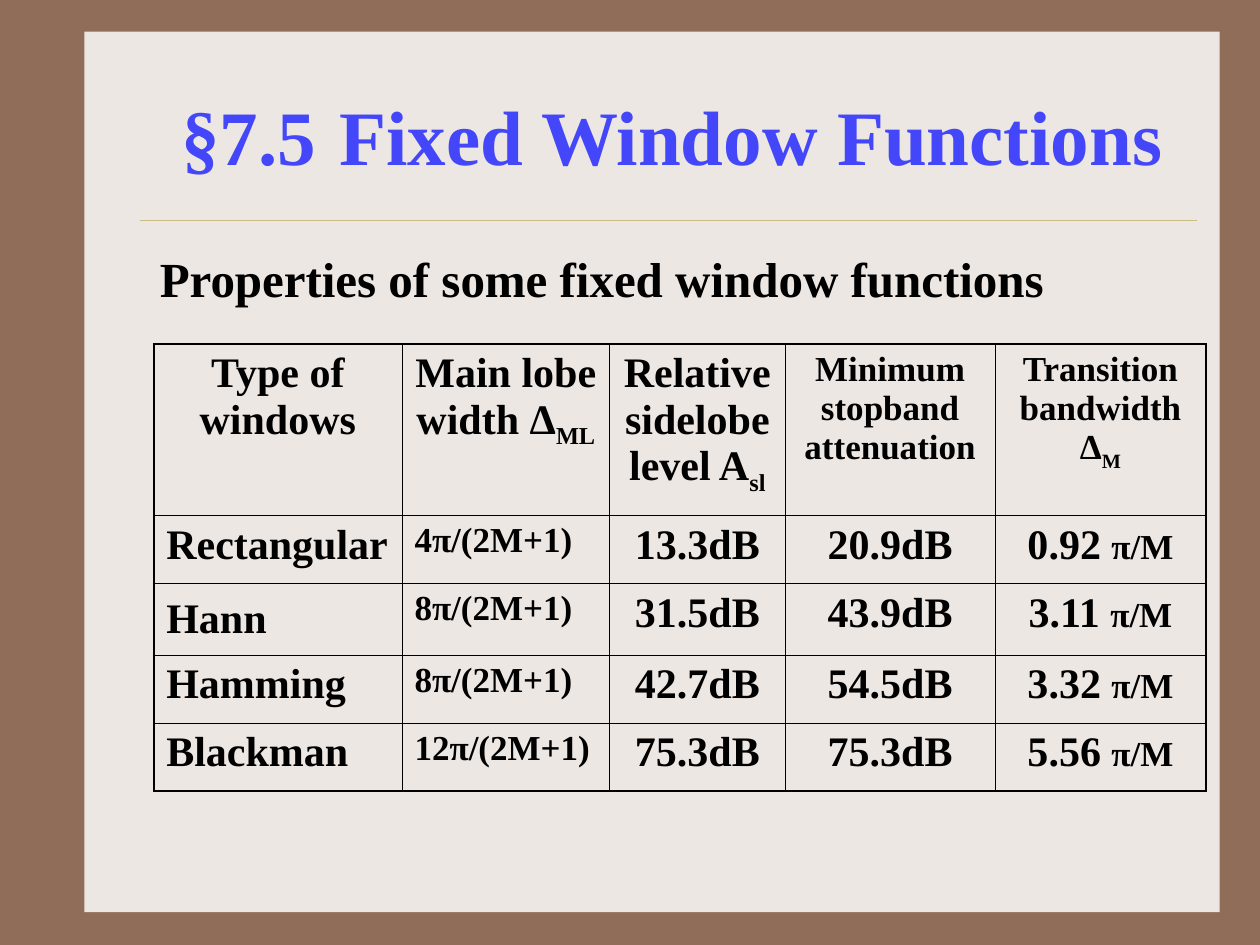
from lxml.etree import SubElement
from pptx import Presentation
from pptx.dml.color import RGBColor
from pptx.enum.shapes import MSO_CONNECTOR as Connector, MSO_SHAPE as Shape
from pptx.enum.text import MSO_ANCHOR as Anchor, MSO_AUTO_SIZE as AutoSize, PP_ALIGN as Align
from pptx.oxml import parse_xml
from pptx.oxml.ns import nsdecls, qn
from pptx.util import Inches, Pt

SERIF = "Times New Roman"
INK = "000000"
THIN, THICK = 0.45, 1.08
COL_WIDTHS = (1.97, 1.65, 1.39, 1.67, 1.67)
ROW_HEIGHTS = (1.36, 0.54, 0.57, 0.54, 0.54)
HEADERS = (
    [("Type of windows", 24)],
    [("Main lobe width Δ", 24), ("ML", 24, "sub")],
    [("Relative sidelobe level A", 24), ("sl", 24, "sub")],
    [("Minimum stopband attenuation", 20)],
    [("Transition bandwidth Δ", 20), ("M", 20, "sub")],
)
WINDOWS = (
    ("Rectangular", "4", "13.3dB", "20.9dB", "0.92"),
    ("Hann", "8", "31.5dB", "43.9dB", "3.11"),
    ("Hamming", "8", "42.7dB", "54.5dB", "3.32"),
    ("Blackman", "12", "75.3dB", "75.3dB", "5.56"),
)


def color(hex_code):
    return RGBColor.from_string(hex_code)


def add_run(p, text, size, kind="", hex_code=INK, font=SERIF, bold=True):
    r = p.add_run()
    r.text = text
    r.font.size = Pt(size)
    r.font.name = font
    r.font.bold = bold
    r.font.color.rgb = color(hex_code)
    if kind == "sub":
        r.font._element.set("baseline", "-25000")


def add_panel(s, x, y, w, h):
    sp = s.shapes.add_shape(Shape.RECTANGLE, Inches(x), Inches(y), Inches(w), Inches(h))
    sp.shadow.inherit = False
    sp.fill.solid()
    sp.fill.fore_color.rgb = color("EDE7E3")
    sp.line.fill.background()


def add_rule(s, x, y, w):
    line = s.shapes.add_connector(
        Connector.STRAIGHT, Inches(x), Inches(y), Inches(x + w), Inches(y))
    line.line.color.rgb = color("CBBD83")
    line.line.width = Pt(0.25)
    SubElement(line.element.spPr, qn("a:effectLst"))


def place_title(s, x, y, w, h):
    title = s.shapes.title
    title.element.getparent().append(title.element)
    title.left, title.top = Inches(x), Inches(y)
    title.width, title.height = Inches(w), Inches(h)
    tf = title.text_frame
    tf.auto_size = AutoSize.NONE
    tf.word_wrap = True
    tf.vertical_anchor = Anchor.MIDDLE
    p = tf.paragraphs[0]
    p.alignment = Align.CENTER
    blue = "4347F9"
    add_run(p, "§7.5", 44, hex_code=blue)
    add_run(p, " ", 48, hex_code=blue, font="Arial", bold=False)
    add_run(p, "Fixed Window Functions", 44, hex_code=blue)


def add_subtitle(s, x, y, w, h):
    tf = s.shapes.add_textbox(Inches(x), Inches(y), Inches(w), Inches(h)).text_frame
    tf.word_wrap = True
    add_run(tf.paragraphs[0], "Properties of some fixed window functions", 28)


def set_borders(cell, widths):
    tc_pr = cell._tc.get_or_add_tcPr()
    for i, (side, width) in enumerate(zip("LRTB", widths)):
        tc_pr.insert(i, parse_xml(
            f'<a:ln{side} {nsdecls("a")} w="{Pt(width)}"><a:solidFill>'
            f'<a:srgbClr val="{INK}"/></a:solidFill></a:ln{side}>'))


def window_row(name, lobe, sidelobe, stopband, transition):
    return (
        [(name, 24)],
        [(f"{lobe}π/(2M+1)", 20)],
        [(sidelobe, 24)],
        [(stopband, 24)],
        [(f"{transition} ", 24), ("π/M", 20)],
    )


def add_window_table(s, x, y, w, h):
    rows = [HEADERS] + [window_row(*window) for window in WINDOWS]
    n_rows, n_cols = len(rows), len(COL_WIDTHS)
    table = s.shapes.add_table(
        n_rows, n_cols, Inches(x), Inches(y), Inches(w), Inches(h)).table
    table.first_row = table.horz_banding = False
    for column, width in zip(table.columns, COL_WIDTHS):
        column.width = Inches(width)
    for i, (row, height) in enumerate(zip(rows, ROW_HEIGHTS)):
        table.rows[i].height = Inches(height)
        for j, runs in enumerate(row):
            cell = table.cell(i, j)
            cell.fill.background()
            outer = (j == 0, j == n_cols - 1, i == 0, i == n_rows - 1)
            set_borders(cell, [THICK if edge else THIN for edge in outer])
            p = cell.text_frame.paragraphs[0]
            p.alignment = Align.CENTER if i == 0 or j > 1 else Align.LEFT
            for run in runs:
                add_run(p, *run)
    add_run(table.cell(2, 0).text_frame.paragraphs[0], " ", 28, bold=False)


def build_slide(prs):
    s = prs.slides.add_slide(prs.slide_layouts[5])
    s.background.fill.solid()
    s.background.fill.fore_color.rgb = color("906D58")
    add_panel(s, 0.67, 0.25, 9.01, 6.99)
    add_rule(s, 1.11, 1.75, 8.39)
    place_title(s, 1.17, 0.42, 8.33, 1.25)
    add_subtitle(s, 1.17, 1.92, 8.32, 0.73)
    add_window_table(s, 1.22, 2.73, sum(COL_WIDTHS), sum(ROW_HEIGHTS))


def main():
    prs = Presentation()
    prs.slide_width, prs.slide_height = Inches(10), Inches(7.5)
    build_slide(prs)
    prs.save("out.pptx")


if __name__ == "__main__":
    main()
